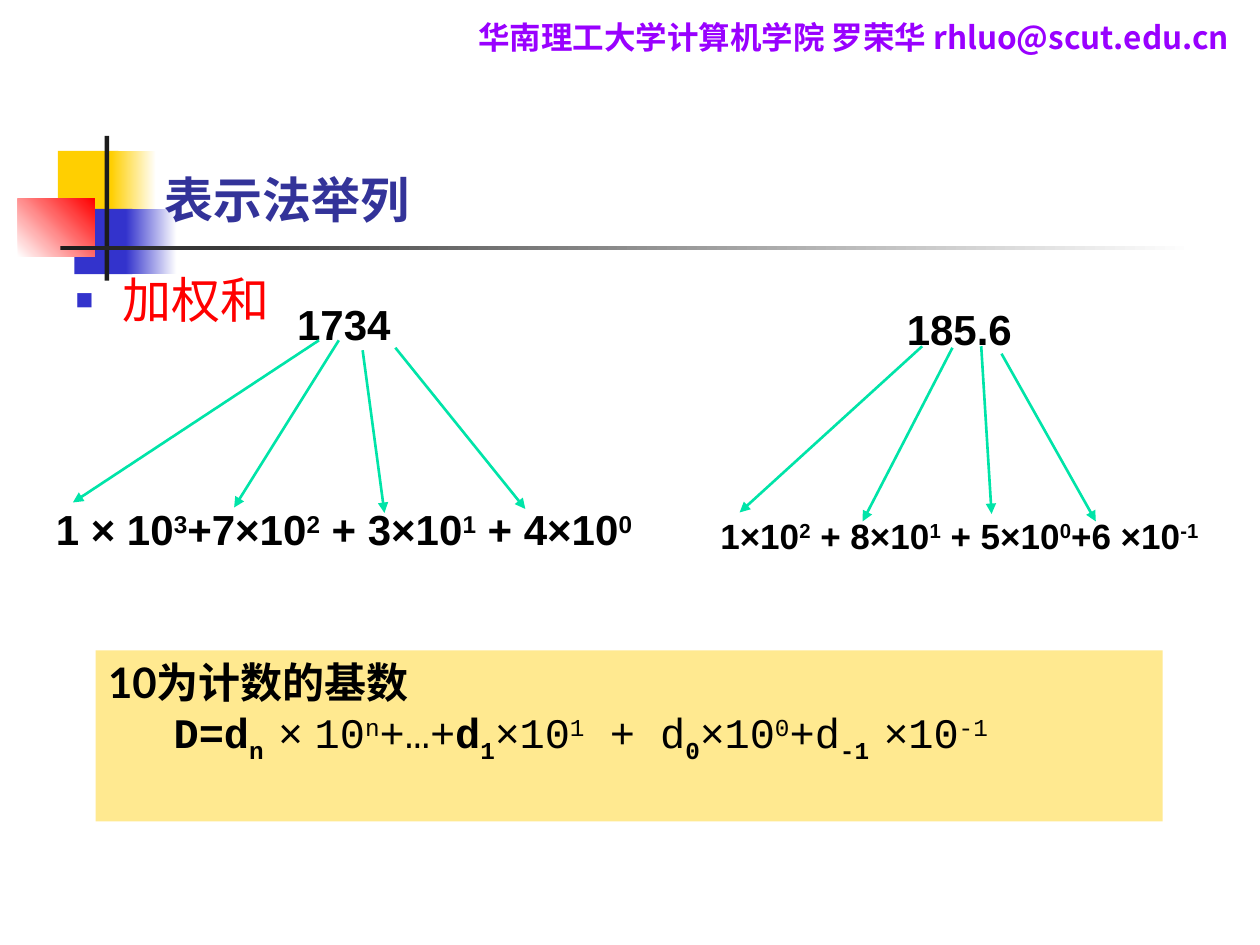
from lxml.etree import SubElement
from pptx import Presentation
from pptx.dml.color import RGBColor
from pptx.enum.shapes import MSO_CONNECTOR, MSO_SHAPE
from pptx.enum.text import MSO_ANCHOR, MSO_AUTO_SIZE, PP_ALIGN
from pptx.oxml.ns import qn
from pptx.util import Cm, Pt

COLORS = {
    "yellow": "FFCF01", "blue": "3333CC", "red": "FF0000", "dark": "1C1C1C",
    "white": "FFFFFF", "black": "000000", "purple": "9900FF",
    "title": "333399", "arrow": "00E4A8", "panel": "FFE990",
}
CJK = "Noto Sans CJK SC"


def color(name):
    return RGBColor.from_string(COLORS[name])


def add_span(para, text, font="Arial", size=24, tint="black", bold=True, baseline=0):
    span = para.add_run()
    span.text = text
    span.font.name = font
    span.font.size = Pt(size)
    span.font.bold = bold
    span.font.color.rgb = color(tint)
    properties = span.font._element
    if baseline:
        properties.set("baseline", str(baseline * 1000))
    east_asian = SubElement(properties, qn("a:ea"))
    east_asian.set("typeface", CJK)
    return span


def add_text_box(page, left, top, width, height, wrap=True, align=PP_ALIGN.LEFT):
    box = page.shapes.add_textbox(Cm(left), Cm(top), Cm(width), Cm(height))
    box.text_frame.word_wrap = wrap
    box.text_frame.vertical_anchor = MSO_ANCHOR.MIDDLE
    para = box.text_frame.paragraphs[0]
    para.alignment = align
    return para


def add_block(page, left, top, width, height, start, end=None, angle=0):
    block = page.shapes.add_shape(
        MSO_SHAPE.RECTANGLE, Cm(left), Cm(top), Cm(width), Cm(height))
    block.shadow.inherit = False
    block.line.fill.background()
    if end:
        block.fill.gradient()
        block.fill.gradient_angle = angle
        for stop, name in zip(block.fill.gradient_stops, (start, end)):
            stop.color.rgb = color(name)
    else:
        block.fill.solid()
        block.fill.fore_color.rgb = color(start)
    return block


def add_arrow(page, x1, y1, x2, y2):
    arrow = page.shapes.add_connector(
        MSO_CONNECTOR.STRAIGHT, Cm(x1), Cm(y1), Cm(x2), Cm(y2))
    arrow.line.color.rgb = color("arrow")
    arrow.line.width = Pt(1.5)
    SubElement(arrow.line._get_or_add_ln(), qn("a:tailEnd")).set("type", "triangle")
    SubElement(arrow.element.spPr, qn("a:effectLst"))


def add_ornament(page, left, top):
    blocks = [
        (0.81, 0.3, 1.22, 1.32, "yellow"),
        (1.88, 0.3, 0.91, 1.32, "yellow", "white"),
        (1.14, 1.47, 1.17, 1.32, "blue"),
        (2.18, 1.47, 1.02, 1.32, "blue", "white"),
        (0, 1.27, 1.55, 1.17, "white", "red", 45),
        (1.75, 0, 0.09, 2.92, "dark"),
        (0.86, 2.21, 22.86, 0.09, "dark", "white"),
    ]
    for x, y, *rest in blocks:
        add_block(page, left + x, top + y, *rest)


def add_header(page, left, top, width, height):
    para = add_text_box(page, left, top, width, height, align=PP_ALIGN.CENTER)
    add_span(para, "华南理工大学计算机学院 罗荣华 rhluo@scut.edu.cn",
             font=CJK, size=18, tint="purple")


def place_placeholder(page, holder, left, top, width, height, anchor):
    page.shapes.element.append(holder.element)
    holder.left, holder.top = Cm(left), Cm(top)
    holder.width, holder.height = Cm(width), Cm(height)
    holder.text_frame.auto_size = MSO_AUTO_SIZE.NONE
    holder.text_frame.vertical_anchor = anchor
    para = holder.text_frame.paragraphs[0]
    para.alignment = PP_ALIGN.LEFT
    para.space_before = Pt(0)
    return para


def add_title(page, *area):
    para = place_placeholder(page, page.shapes.title, *area, MSO_ANCHOR.MIDDLE)
    add_span(para, "表示法举列", font=CJK, size=28, tint="title")


def add_list(page, *area):
    para = place_placeholder(page, page.placeholders[1], *area, MSO_ANCHOR.TOP)
    properties = para._p.get_or_add_pPr()
    properties.set("marL", str(Cm(0.95)))
    properties.set("indent", str(-Cm(0.95)))
    bullet_color = SubElement(properties, qn("a:buClr"))
    SubElement(bullet_color, qn("a:srgbClr")).set("val", COLORS["blue"])
    SubElement(properties, qn("a:buSzPct")).set("val", "60000")
    SubElement(properties, qn("a:buFont")).set("typeface", "Arial")
    SubElement(properties, qn("a:buChar")).set("char", "■")
    add_span(para, "加权和", font="Lato", size=28, tint="red", bold=False)


def add_expansion(page, left, top, number, number_area, terms, sum_area, size, arrows):
    x, y, width, height = number_area
    para = add_text_box(page, left + x, top + y, width, height, wrap=False)
    add_span(para, number)
    x, y, width, height = sum_area
    para = add_text_box(page, left + x, top + y, width, height, align=PP_ALIGN.CENTER)
    for factor, exponent in terms:
        add_span(para, factor, size=size)
        add_span(para, exponent, size=size, baseline=30)
    for x1, y1, x2, y2 in arrows:
        add_arrow(page, left + x1, top + y1, left + x2, top + y2)


def add_formula(page, left, top, width, height):
    panel = add_block(page, left, top, width, height, "panel")
    frame = panel.text_frame
    frame.word_wrap = True
    frame.vertical_anchor = MSO_ANCHOR.TOP
    heading = frame.paragraphs[0]
    heading.alignment = PP_ALIGN.LEFT
    add_span(heading, "10为计数的基数", font="Lato")
    formula = frame.add_paragraph()
    formula.alignment = PP_ALIGN.LEFT
    formula._p.get_or_add_pPr().set("marL", str(Cm(1.32)))
    terms = [
        ("D=d", True, "n ", "× ", "n"),
        ("+…+", False, None, None, None),
        ("d", True, "1", "×", "1"),
        (" + d", False, "0", "×", "0"),
        ("+d", False, "-1 ", "×", "-1"),
    ]
    for text, bold, index, times, exponent in terms:
        add_span(formula, text, font="Courier New", bold=bold)
        if index:
            add_span(formula, index, font="Courier New", baseline=-25)
            add_span(formula, times, bold=False)
            add_span(formula, "10", font="Courier New", bold=False)
            add_span(formula, exponent, font="Courier New", bold=False, baseline=30)


def main():
    deck = Presentation()
    deck.slide_width, deck.slide_height = Cm(25.4), Cm(19.05)
    page = deck.slides.add_slide(deck.slide_layouts[1])
    add_ornament(page, 0.36, 2.74)
    add_header(page, 9.02, 0.23, 16.38, 1.02)
    add_title(page, 3.07, 3.23, 21.59, 1.55)
    add_list(page, 1.27, 5.31, 22.86, 12.9)
    add_expansion(
        page, 0.71, 5.89, "1734", (5.03, 0, 2.39, 1.27),
        [("1 × 10", "3"), ("+7×10", "2"), (" + 3×10", "1"), (" + 4×10", "0")],
        (0, 3.63, 12.45, 2.29), 24,
        [(5.72, 0.97, 0.76, 4.24), (6.12, 0.97, 4.01, 4.34),
         (6.6, 1.17, 7.04, 4.45), (7.26, 1.12, 9.88, 4.37)])
    add_expansion(
        page, 13.28, 5.99, "185.6", (4.75, 0, 2.62, 1.27),
        [("1×10", "2"), (" + 8×10", "1"), (" + 5×10", "0"), ("+6 ×10", "-1")],
        (0, 4.24, 12.12, 1.12), 20,
        [(5.31, 0.99, 1.63, 4.34), (5.92, 1.02, 4.11, 4.52),
         (6.5, 0.99, 6.71, 4.37), (6.91, 1.14, 8.81, 4.52)])
    add_formula(page, 1.93, 13.11, 21.51, 3.45)
    deck.save("out.pptx")


if __name__ == "__main__":
    main()
